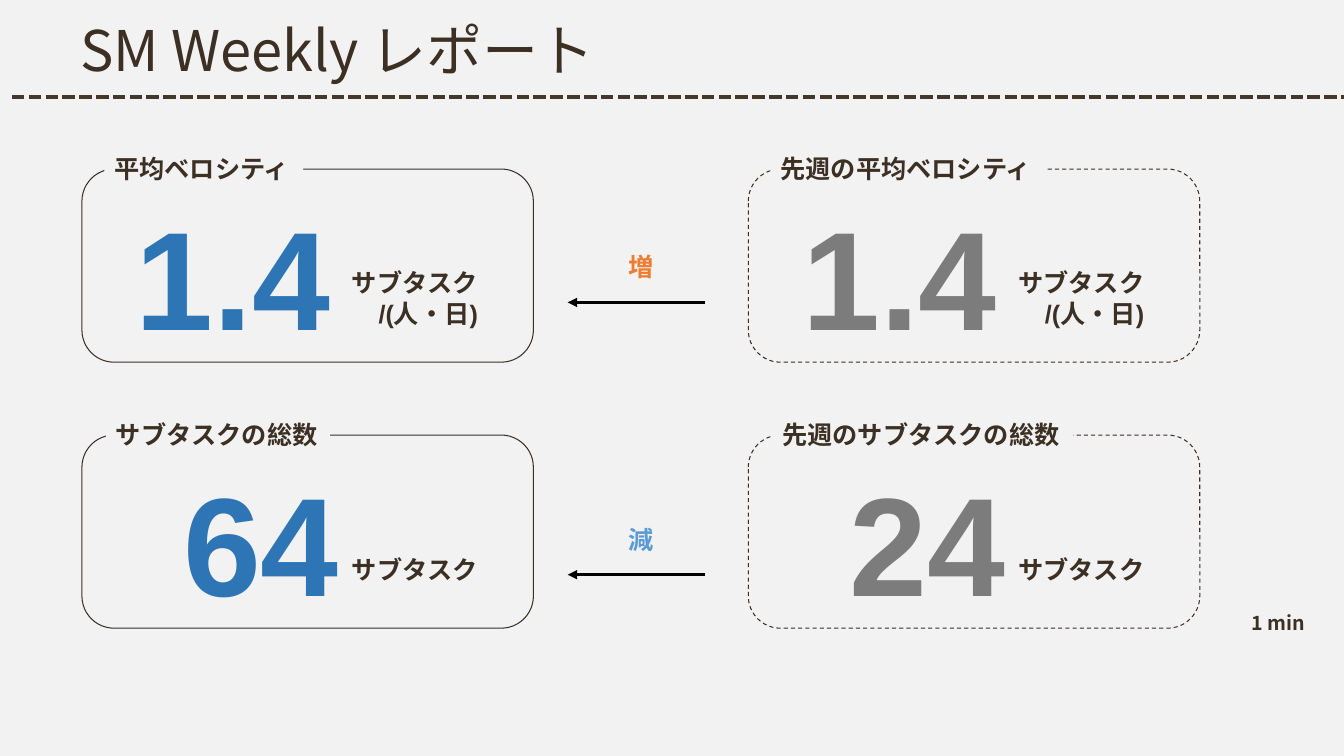
from pptx import Presentation
from pptx.dml.color import RGBColor
from pptx.enum.dml import MSO_LINE
from pptx.enum.shapes import MSO_CONNECTOR, MSO_SHAPE
from pptx.enum.text import MSO_ANCHOR, MSO_AUTO_SIZE, PP_ALIGN
from pptx.oxml.ns import qn
from pptx.util import Pt
from lxml import etree

BROWN = RGBColor(0x3C, 0x2F, 0x24)
RULE = RGBColor(0x45, 0x36, 0x2A)
PAPER = RGBColor(0xF2, 0xF2, 0xF2)
BLUE = RGBColor(0x2E, 0x75, 0xB6)
GRAY = RGBColor(0x7C, 0x7C, 0x7C)
ORANGE = RGBColor(0xED, 0x7D, 0x31)
LIGHT_BLUE = RGBColor(0x5B, 0x9B, 0xD5)
BLACK = RGBColor(0, 0, 0)
NOTO = "Noto Sans CJK JP"

prs = Presentation()
prs.slide_width, prs.slide_height = Pt(960), Pt(540)
s = prs.slides.add_slide(prs.slide_layouts[5])
s.background.fill.solid()
s.background.fill.fore_color.rgb = PAPER


def add_text(box, lines, size, color, font="Arial", bold=True, align=PP_ALIGN.LEFT, wrap=False):
    tf = box.text_frame
    tf.word_wrap = wrap
    tf.vertical_anchor = MSO_ANCHOR.TOP
    for i, line in enumerate(lines):
        p = tf.add_paragraph() if i else tf.paragraphs[0]
        p.alignment = align
        r = p.add_run()
        r.text = line
        r.font.size, r.font.bold, r.font.name = Pt(size), bold, font
        r.font.color.rgb = color
        if font == NOTO:
            etree.SubElement(r.font._element, qn("a:ea"), typeface=NOTO)
    return tf


def add_line(x1, x2, y, color, width):
    line = s.shapes.add_connector(MSO_CONNECTOR.STRAIGHT, Pt(x1), Pt(y), Pt(x2), Pt(y))
    line.line.color.rgb = color
    line.line.width = Pt(width)
    etree.SubElement(line._element.spPr, qn("a:effectLst"))
    return line


title = s.shapes.title
title.left, title.top, title.width, title.height = Pt(50), Pt(16.5), Pt(868), Pt(70)
tf = add_text(title, ["SM Weekly レポート"], 40, BROWN, NOTO, False, wrap=True)
tf.auto_size = MSO_AUTO_SIZE.NONE
tf.margin_top = 0
tf.paragraphs[0].line_spacing = 0.9

rule = add_line(8.5, 960, 69.25, RULE, 3)
rule.line.dash_style = MSO_LINE.SQUARE_DOT

cards = [
    (0, 0, "平均ベロシティ", 142, "1.4", ["サブタスク", "/(人・日)"]),
    (0, 1, "サブタスクの総数", 160, "64", ["サブタスク"]),
    (1, 0, "先週の平均ベロシティ", 197, "1.4", ["サブタスク", "/(人・日)"]),
    (1, 1, "先週のサブタスクの総数", 215, "24", ["サブタスク"]),
]
for col, row, label, label_width, value, unit in cards:
    x, y = 58.5 + 476 * col, 120.75 + 190 * row

    box = s.shapes.add_textbox(Pt(x + 31.5), Pt(y + 12), Pt(159), Pt(128))
    tf = add_text(box, [value], 100, GRAY if col else BLUE,
                  align=PP_ALIGN.RIGHT if row else PP_ALIGN.LEFT, wrap=bool(row))
    tf.auto_size = MSO_AUTO_SIZE.SHAPE_TO_FIT_TEXT

    unit_top, unit_height = (82, 29) if row else (67, 51)
    box = s.shapes.add_textbox(Pt(x + 185), Pt(y + unit_top), Pt(105), Pt(unit_height))
    tf = add_text(box, unit, 18, BROWN, align=PP_ALIGN.RIGHT)
    tf.auto_size = MSO_AUTO_SIZE.SHAPE_TO_FIT_TEXT

    frame = s.shapes.add_shape(MSO_SHAPE.ROUNDED_RECTANGLE, Pt(x), Pt(y), Pt(322.5), Pt(138))
    frame.shadow.inherit = False
    frame.fill.background()
    frame.line.color.rgb = BROWN
    frame.line.width = Pt(0.75)
    if col:
        frame.line.dash_style = MSO_LINE.DASH

    box = s.shapes.add_textbox(Pt(x + 16 + 1.25 * row), Pt(y - 14.5), Pt(label_width), Pt(29))
    box.fill.solid()
    box.fill.fore_color.rgb = PAPER
    tf = add_text(box, [label], 18, BROWN)
    tf.auto_size = MSO_AUTO_SIZE.SHAPE_TO_FIT_TEXT

for arrow_y, text_top, trend, color in [(216, 176, "増", ORANGE), (410.5, 371, "減", LIGHT_BLUE)]:
    arrow = add_line(503.5, 405.5, arrow_y, BLACK, 2.25)
    etree.SubElement(arrow.line._get_or_add_ln(), qn("a:tailEnd"), type="triangle")
    box = s.shapes.add_textbox(Pt(441.5), Pt(text_top), Pt(32.5), Pt(29))
    add_text(box, [trend], 18, color, NOTO)

box = s.shapes.add_textbox(Pt(882.5), Pt(432.75), Pt(61), Pt(24.5))
add_text(box, ["1 min"], 14, BROWN, NOTO, align=PP_ALIGN.CENTER, wrap=True)

prs.save("out.pptx")
